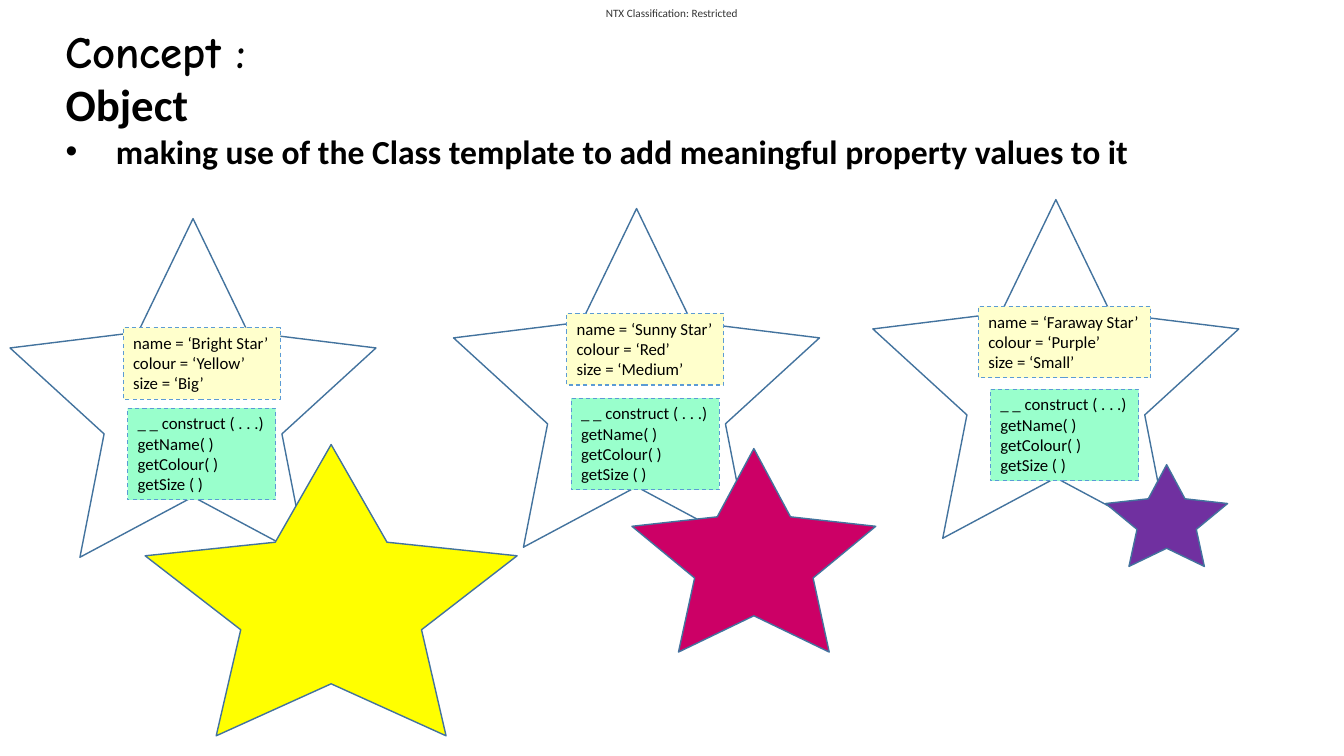
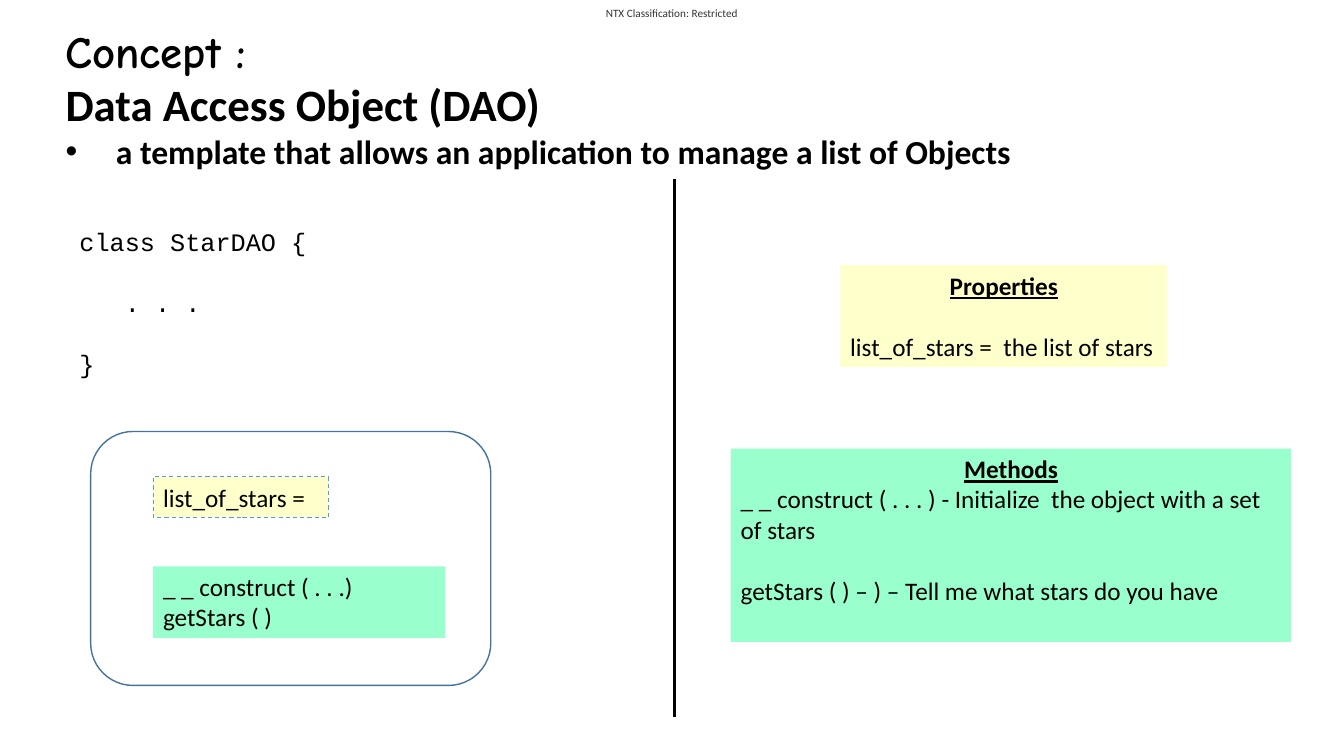
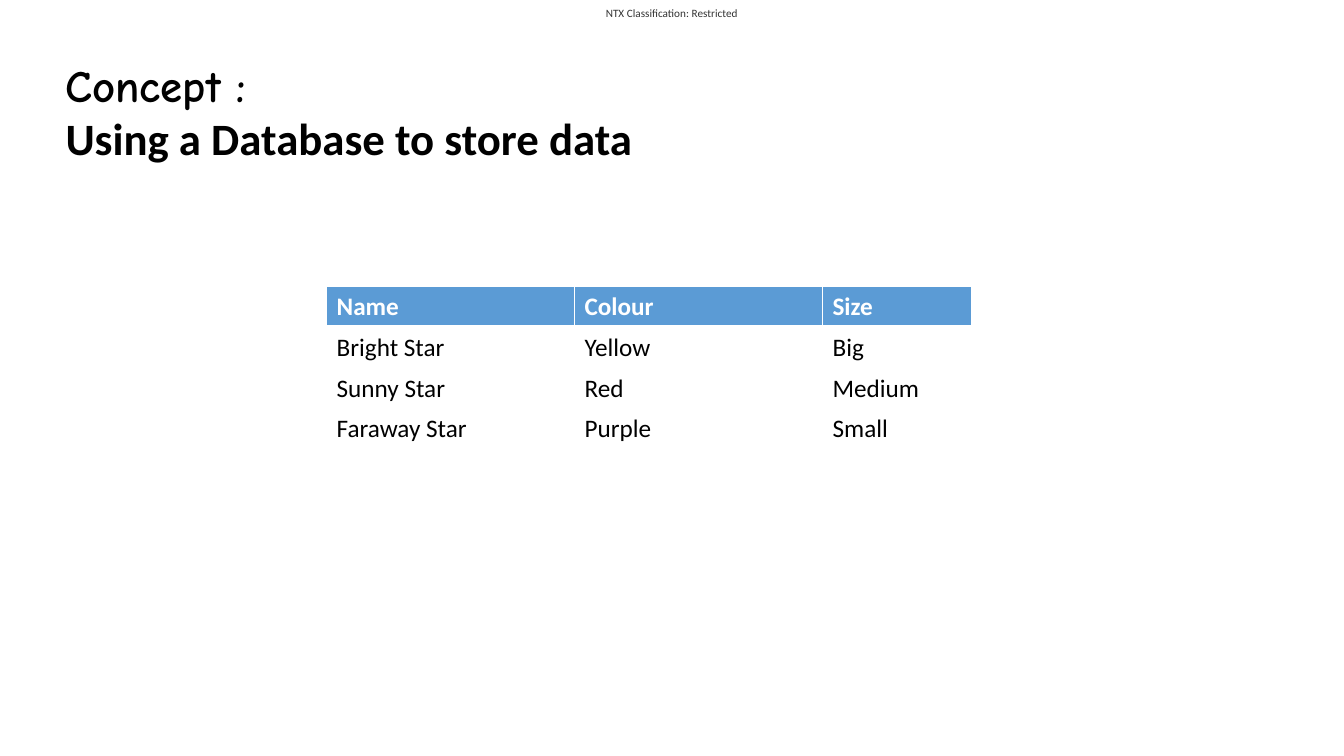
from dataclasses import dataclass
from lxml import etree
from pptx import Presentation
from pptx.dml.color import RGBColor
from pptx.enum.dml import MSO_LINE
from pptx.enum.shapes import MSO_CONNECTOR, MSO_SHAPE
from pptx.enum.text import MSO_ANCHOR, MSO_AUTO_SIZE, PP_ALIGN
from pptx.oxml.ns import qn
from pptx.util import Pt

RECT, ROUND, STAR = MSO_SHAPE.RECTANGLE, MSO_SHAPE.ROUNDED_RECTANGLE, MSO_SHAPE.STAR_5_POINT
LEFT, CENTER = PP_ALIGN.LEFT, PP_ALIGN.CENTER
TOP, MIDDLE = MSO_ANCHOR.TOP, MSO_ANCHOR.MIDDLE
STRAIGHT, DASH, NO_FIT = MSO_CONNECTOR.STRAIGHT, MSO_LINE.DASH, MSO_AUTO_SIZE.NONE

BLACK = RGBColor(0, 0, 0)
WHITE = RGBColor(0xFF, 0xFF, 0xFF)
GREY = RGBColor(0x33, 0x33, 0x33)
OUTLINE = RGBColor(0x43, 0x73, 0x9E)
BLUE = RGBColor(0x5B, 0x9B, 0xD5)
CREAM = RGBColor(0xFF, 0xFF, 0xCC)
MINT = RGBColor(0x99, 0xFF, 0xCC)
YELLOW = RGBColor(0xFF, 0xFF, 0)
CRIMSON = RGBColor(0xCC, 0, 0x66)
PURPLE = RGBColor(0x70, 0x30, 0xA0)

BODY, HAND, CODE = "Calibri", "Comic Neue", "Courier New"
LINE_GAP = 22
STAR_W, STAR_H = 261.4, 241.9
STAR_AXIS = 136.9
METHODS_DROP = 135.4
STAR_METHODS = ["_ _ construct ( . . .)", "getName( )", "getColour( )", "getSize ( )"]


@dataclass
class Box:
    x: float
    y: float
    w: float
    h: float


@dataclass
class StarObject:
    name: str
    colour: str
    size: str
    x: float
    y: float
    props_y: float
    props_w: float
    fill: RGBColor
    picture: Box


STARS = [
    StarObject("Bright Star", "Yellow", "Big", 7.2, 156.2, 234, 112.3,
               YELLOW, Box(103.7, 317.5, 265.7, 208.1)),
    StarObject("Faraway Star", "Purple", "Small", 623.5, 142.6, 218.9, 123.1,
               PURPLE, Box(789.8, 331.9, 87.1, 72.7)),
    StarObject("Sunny Star", "Red", "Medium", 324, 149, 223.9, 112.3,
               CRIMSON, Box(451.4, 320.4, 174.2, 145.4)),
]


def pts(box: Box) -> tuple:
    return Pt(box.x), Pt(box.y), Pt(box.w), Pt(box.h)


def add_text(tf, text: str, *, size=18, font=BODY, color=BLACK, bold=False, underline=False,
             align=LEFT, before=0, indent=0, bullet="") -> None:
    p = tf.paragraphs[0] if not tf.text else tf.add_paragraph()
    p.alignment = align
    p.space_before = Pt(before)
    r = p.add_run()
    r.text = text
    f = r.font
    f.size, f.name, f.bold, f.underline = Pt(size), font, bold, underline
    f.color.rgb = color
    if indent:
        pPr = p._p.get_or_add_pPr()
        pPr.set("marL", str(Pt(indent)))
        if bullet:
            pPr.set("indent", str(-Pt(indent)))
            etree.SubElement(pPr, qn("a:buFont")).set("typeface", "Arial")
            etree.SubElement(pPr, qn("a:buChar")).set("char", bullet)


def prepare(tf, wrap: bool, anchor=TOP):
    tf.word_wrap = wrap
    tf.auto_size = NO_FIT
    tf.vertical_anchor = anchor
    return tf


def add_box(s, kind, box: Box, fill=None, line=None, width=1.0, dash=None):
    sp = s.shapes.add_shape(kind, *pts(box))
    sp.shadow.inherit = False
    if fill is None:
        sp.fill.background()
    else:
        sp.fill.solid()
        sp.fill.fore_color.rgb = fill
    if line is None:
        sp.line.fill.background()
    else:
        sp.line.color.rgb = line
        sp.line.width = Pt(width)
        if dash is not None:
            sp.line.dash_style = dash
    if kind == STAR:
        sp.adjustments[0] = 0.243
    return sp


def add_card(s, box: Box, fill: RGBColor, lines=(), size=18, dashed=False, wrap=True):
    style = dict(line=BLUE, width=0.75, dash=DASH) if dashed else {}
    tf = prepare(add_box(s, RECT, box, fill, **style).text_frame, wrap)
    for line in lines:
        add_text(tf, line, size=size)
    return tf


def add_slide(prs, layout, topic: str, box: Box, point=""):
    s = prs.slides.add_slide(layout)
    title = s.shapes.title
    title.left, title.top, title.width, title.height = pts(box)
    tf = prepare(title.text_frame, True)
    add_text(tf, "Concept :", size=32, font=HAND, bold=True)
    add_text(tf, topic, size=32, bold=True)
    if point:
        add_text(tf, point, size=24, bold=True, indent=36, bullet="•")
    return s


def add_label(s, layout) -> None:
    label = s.shapes.add_textbox(*pts(Box(421.2, 0, 117.4, 18)))
    tf = prepare(label.text_frame, False, MIDDLE)
    tf.margin_left = tf.margin_right = tf.margin_top = tf.margin_bottom = 0
    add_text(tf, "NTX Classification: Restricted", size=8, color=GREY, align=CENTER)
    layout.shapes.element.append(label.element)


def add_star_object(s, star: StarObject) -> None:
    add_box(s, STAR, Box(star.x, star.y, STAR_W, STAR_H), WHITE, OUTLINE)
    axis = star.x + STAR_AXIS
    props = [f"name = ‘{star.name}’", f"colour = ‘{star.colour}’", f"size = ‘{star.size}’"]
    add_card(s, Box(axis - star.props_w / 2, star.props_y, star.props_w, 51.1),
             CREAM, props, 12, dashed=True, wrap=False)
    add_card(s, Box(axis - 52.9, star.y + METHODS_DROP, 105.8, 65.5),
             MINT, STAR_METHODS, 12, dashed=True, wrap=False)


def add_borders(cell, bottom: float) -> None:
    tcPr = cell._tc.get_or_add_tcPr()
    for tag, width in (("lnL", 1), ("lnR", 1), ("lnT", 1), ("lnB", bottom)):
        ln = etree.SubElement(tcPr, qn(f"a:{tag}"), w=str(Pt(width)))
        fill = etree.SubElement(ln, qn("a:solidFill"))
        etree.SubElement(fill, qn("a:srgbClr"), val=str(WHITE))


def add_star_table(s) -> None:
    rows = [("Name", "Colour", "Size")]
    rows += [(star.name, star.colour, star.size) for star in (STARS[0], STARS[2], STARS[1])]
    box = Box(233.3, 204.5, 460.8, 116.8)
    table = s.shapes.add_table(len(rows), 3, *pts(box)).table
    table.horz_banding = False
    for column, width in zip(table.columns, (177.12, 177.12, 106.56)):
        column.width = Pt(width)
    for i, row in enumerate(rows):
        table.rows[i].height = Pt(29.2)
        header = i == 0
        for j, value in enumerate(row):
            cell = table.cell(i, j)
            add_borders(cell, 3 if header else 1)
            if header:
                cell.fill.solid()
                cell.fill.fore_color.rgb = BLUE
            else:
                cell.fill.background()
            add_text(cell.text_frame, value, color=WHITE if header else BLACK, bold=header)


def build_objects(s) -> None:
    for star in STARS:
        add_star_object(s, star)
    for star in STARS:
        add_box(s, STAR, star.picture, star.fill, OUTLINE)


def build_dao(s) -> None:
    add_box(s, ROUND, Box(64.8, 308.2, 285.8, 181.4), line=OUTLINE)
    add_card(s, Box(109.4, 340.6, 125.3, 29), CREAM, ["list_of_stars ="], dashed=True)
    add_card(s, Box(109.4, 404.6, 208.8, 51), MINT, ["_ _ construct ( . . .)", "getStars ( )"])

    divider = s.shapes.add_connector(STRAIGHT, Pt(481.7), Pt(128.2), Pt(481.7), Pt(511.9))
    divider.line.color.rgb = BLACK
    divider.line.width = Pt(2.5)
    etree.SubElement(divider.element.spPr, qn("a:effectLst"))

    heading = dict(bold=True, underline=True, align=CENTER)
    methods = add_card(s, Box(522, 320.4, 400.3, 138.2), MINT)
    add_text(methods, "Methods", **heading)
    add_text(methods, "_ _ construct ( . . . ) - Initialize  the object with a set of stars")
    add_text(methods, "getStars ( ) – ) – Tell me what stars do you have", before=LINE_GAP)

    properties = add_card(s, Box(600.2, 189.4, 233.6, 72.7), CREAM)
    add_text(properties, "Properties", **heading)
    add_text(properties, "list_of_stars =  the list of stars", before=LINE_GAP)

    code = s.shapes.add_textbox(*pts(Box(49.7, 158.4, 177.1, 116.6)))
    tf = prepare(code.text_frame, False)
    add_text(tf, "class StarDAO {", font=CODE)
    add_text(tf, ". . .", font=CODE, before=LINE_GAP, indent=32.4)
    add_text(tf, "}", font=CODE, before=LINE_GAP)


def main() -> None:
    prs = Presentation()
    prs.slide_width, prs.slide_height = Pt(960), Pt(540)
    layout = prs.slide_layouts[5]
    tall = Box(39.6, 13, 890.6, 113.8)

    s = add_slide(prs, layout, "Object", tall,
                  "making use of the Class template to add meaningful property values to it")
    add_label(s, layout)
    build_objects(s)

    s = add_slide(prs, layout, "Data Access Object (DAO)", tall,
                  "a template that allows an application to manage a list of Objects")
    build_dao(s)

    s = add_slide(prs, layout, "Using a Database to store data", Box(39.6, 37.4, 890.6, 85))
    add_star_table(s)

    prs.save("out.pptx")


main()
